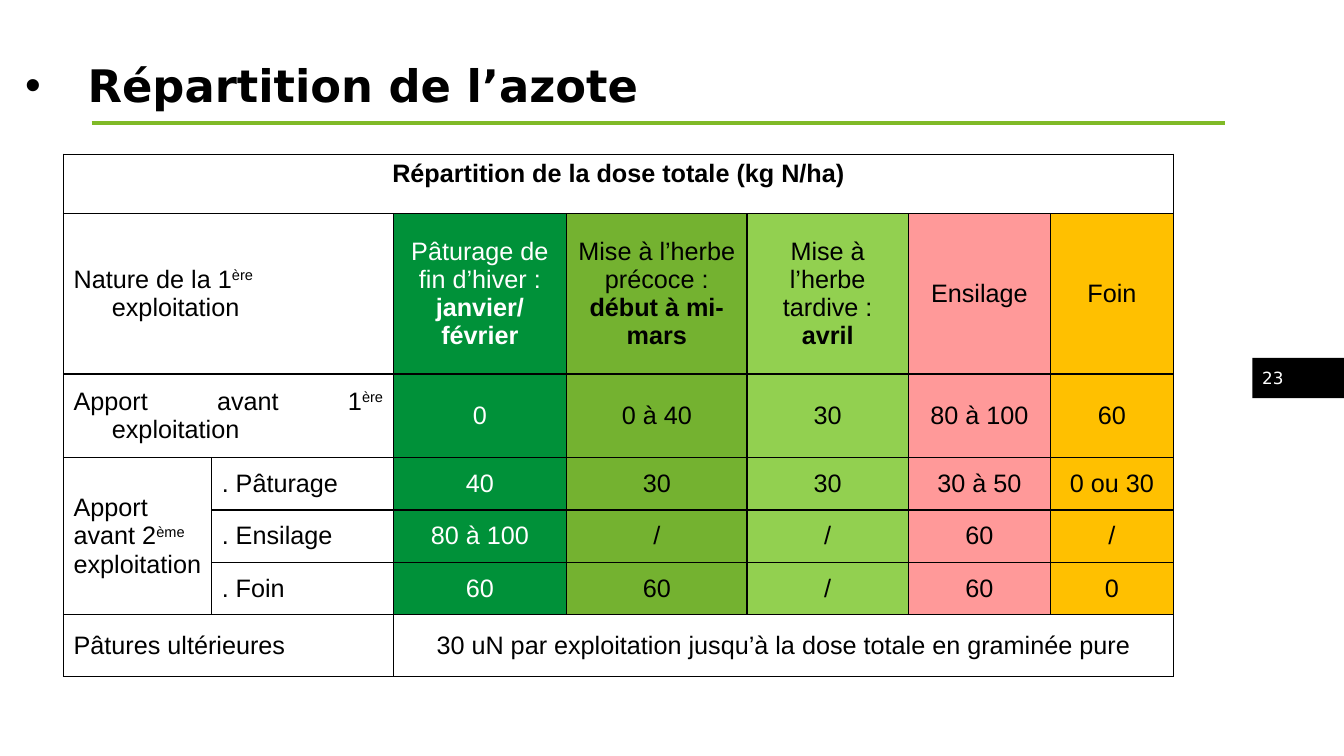
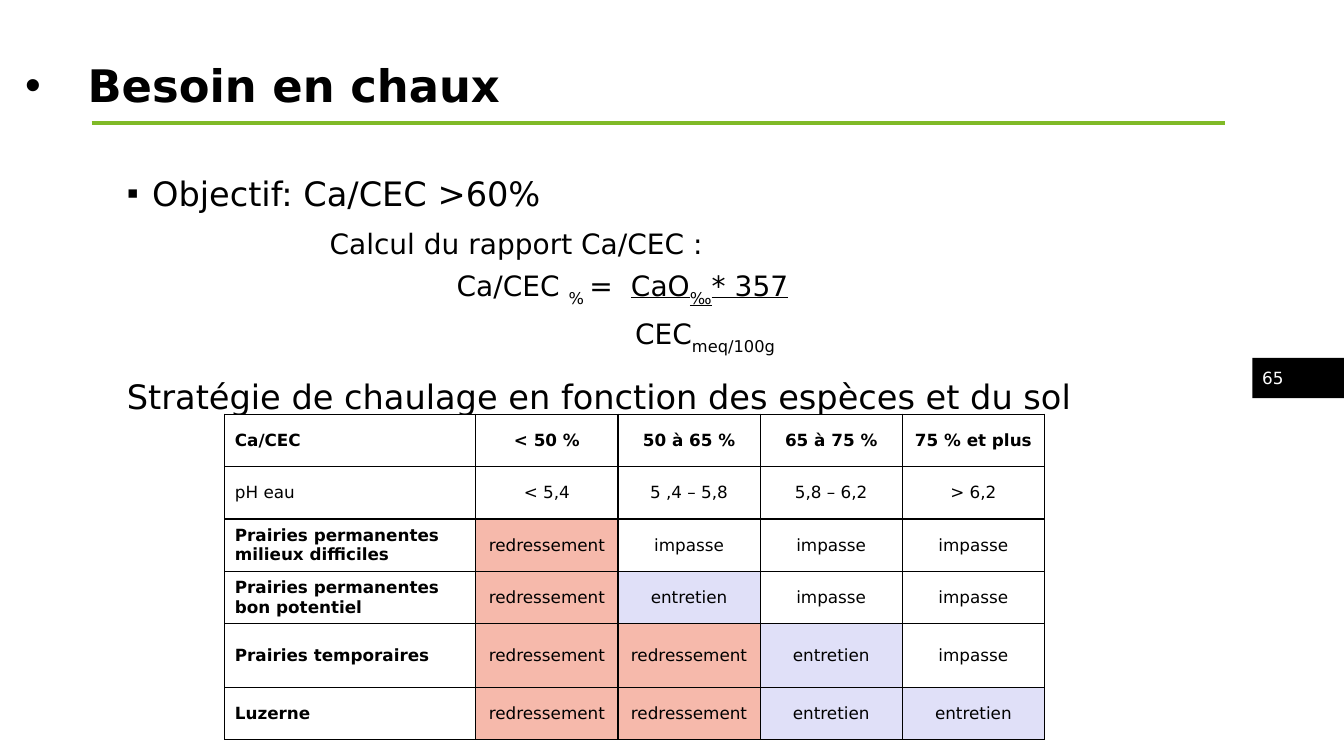
from lxml import etree
from pptx import Presentation
from pptx.dml.color import RGBColor
from pptx.enum import shapes, text
from pptx.oxml import ns
from pptx.util import Inches, Pt

COLORS = {
    "black": "000000", "white": "FFFFFF", "rule": "80BA27",
    "grazing": "009139", "early": "74B230", "late": "92D050",
    "silage": "FF9999", "hay": "FFC000",
    "redressement": "F6B9AB", "entretien": "E0E0F8",
}
SANS, ARIAL = "DejaVu Sans", "Arial"
LEFT, CENTER, JUSTIFY = (text.PP_ALIGN.LEFT, text.PP_ALIGN.CENTER,
                         text.PP_ALIGN.JUSTIFY)
MIDDLE, TOP = text.MSO_ANCHOR.MIDDLE, text.MSO_ANCHOR.TOP


def rgb(name):
    return RGBColor.from_string(COLORS[name])


def sub(parent, tag, **attributes):
    values = {key: str(value) for key, value in attributes.items()}
    return etree.SubElement(parent, ns.qn(tag), values)


def add_text(paragraph, content, size=18, font=SANS, color="black",
             bold=False, underline=False, baseline=0):
    """Add one formatted run; baseline is a percentage of the size."""
    run = paragraph.add_run()
    run.text = content
    run.font.size, run.font.name = Pt(size), font
    run.font.bold, run.font.underline = bold, underline
    run.font.color.rgb = rgb(color)
    if baseline:
        run.font._element.set("baseline", str(baseline * 1000))


def write(paragraph, runs, align=LEFT, hang=0, bullet=None, tabs=(),
          spacing=None, before=0, **style):
    """Fill a paragraph from a string or from (text, format) pairs."""
    properties = paragraph._p.get_or_add_pPr()
    if hang:
        properties.set("marL", str(Inches(hang)))
        properties.set("indent", str(-Inches(hang)))
    if bullet:
        sub(properties, "a:buFont", typeface=ARIAL)
        sub(properties, "a:buChar", char=bullet)
    if tabs:
        stops = sub(properties, "a:tabLst")
        for stop in tabs:
            sub(stops, "a:tab", pos=Inches(stop), algn="l")
    paragraph.alignment = align
    if spacing:
        paragraph.line_spacing = spacing
    if before:
        paragraph.space_before = Pt(before)
    for content, extra in [(runs, {})] if isinstance(runs, str) else runs:
        add_text(paragraph, content, **{**style, **extra})


class Deck:
    def __init__(self):
        self.presentation = Presentation()
        self.presentation.slide_width = Inches(13.33)
        self.presentation.slide_height = Inches(7.5)
        self.slide = None

    def start(self, title, number):
        """Open a slide with its title, green rule and page tag."""
        layout = self.presentation.slide_layouts[6]
        self.slide = self.presentation.slides.add_slide(layout)
        self.rule(0.91, 12.15, 1.22)
        heading = self.box(0.15, 0.4, 12.01, 0.94, MIDDLE)
        write(heading.paragraphs[0], title, hang=0.62, bullet="•",
              spacing=0.9, size=32, bold=True)
        self.page_tag(number)

    def rule(self, left, right, y):
        line = self.slide.shapes.add_connector(
            shapes.MSO_CONNECTOR.STRAIGHT,
            Inches(left), Inches(y), Inches(right), Inches(y))
        line.line.color.rgb, line.line.width = rgb("rule"), Pt(2.25)
        sub(line._element.spPr, "a:effectLst")

    def page_tag(self, number):
        tag = self.slide.shapes.add_shape(
            shapes.MSO_SHAPE.RECTANGLE,
            Inches(12.42), Inches(3.55), Inches(0.92), Inches(0.4))
        tag.shadow.inherit = False
        tag.fill.solid()
        tag.fill.fore_color.rgb = rgb("black")
        tag.line.fill.background()
        tag.text_frame.vertical_anchor = MIDDLE
        write(tag.text_frame.paragraphs[0], number, size=12, color="white")

    def box(self, left, top, width, height, anchor=TOP):
        frame = self.slide.shapes.add_textbox(
            Inches(left), Inches(top), Inches(width), Inches(height)).text_frame
        frame.word_wrap, frame.vertical_anchor = True, anchor
        return frame

    def table(self, left, top, widths, heights):
        table = self.slide.shapes.add_table(
            len(heights), len(widths), Inches(left), Inches(top),
            Inches(sum(widths)), Inches(sum(heights))).table
        table.first_row = table.horz_banding = False
        for column, width in zip(table.columns, widths):
            column.width = Inches(width)
        for row, height in zip(table.rows, heights):
            row.height = Inches(height)
        for cell in table.iter_cells():
            self.borders(cell)
            self.paint(cell, "white")
        return table

    def borders(self, cell):
        for side in ("a:lnL", "a:lnR", "a:lnT", "a:lnB"):
            line = sub(cell._tc.get_or_add_tcPr(), side, w=Pt(1))
            sub(sub(line, "a:solidFill"), "a:srgbClr", val=COLORS["black"])

    def paint(self, cell, fill):
        cell.fill.solid()
        cell.fill.fore_color.rgb = rgb(fill)

    def cell(self, cell, *paragraphs, fill="white", anchor=MIDDLE, **style):
        self.paint(cell, fill)
        cell.vertical_anchor = anchor
        frame = cell.text_frame
        for index, runs in enumerate(paragraphs):
            paragraph = frame.add_paragraph() if index else frame.paragraphs[0]
            write(paragraph, runs, **style)


def nitrogen_slide(deck):
    deck.start("Répartition de l’azote", "23")
    table = deck.table(0.63, 1.53, [1.47, 1.8, 1.72, 1.79, 1.6, 1.41, 1.22],
                       [0.59, 1.59, 0.83, 0.52, 0.52, 0.52, 0.61])
    for first, last in [((0, 0), (0, 6)), ((1, 0), (1, 1)), ((2, 0), (2, 1)),
                        ((3, 0), (5, 0)), ((6, 0), (6, 1)), ((6, 2), (6, 6))]:
        table.cell(*first).merge(table.cell(*last))

    # Heading and closing rows
    centered = {"align": CENTER, "font": ARIAL}
    deck.cell(table.cell(0, 0), "Répartition de la dose totale (kg N/ha)",
              anchor=TOP, bold=True, **centered)
    deck.cell(table.cell(6, 2), "30 uN par exploitation jusqu’à la dose totale"
              " en graminée pure", **centered)

    # Row labels
    raised, label = {"baseline": 30}, {"font": ARIAL, "hang": 0.38}
    deck.cell(table.cell(1, 0), [("Nature de la 1", {}), ("ère", raised),
                                 (" exploitation", {})], **label)
    deck.cell(table.cell(2, 0), [("Apport avant 1", {}), ("ère", raised),
                                 (" exploitation", {})], align=JUSTIFY, **label)
    deck.cell(table.cell(3, 0), "Apport", [("avant 2", {}), ("ème", raised)],
              "exploitation", **label)
    for row, use in enumerate([". Pâturage", ". Ensilage", ". Foin"], 3):
        deck.cell(table.cell(row, 1), use, align=JUSTIFY, **label)
    deck.cell(table.cell(6, 0), "Pâtures ultérieures", align=JUSTIFY, **label)

    # One coloured column per first use: heading, bold period, doses
    uses = [
        ("grazing", "Pâturage de fin d’hiver\u00a0:", "janvier/ février",
         ["0", "40", "80 à 100", "60"]),
        ("early", "Mise à l’herbe précoce\u00a0:", "début à mi-mars",
         ["0 à 40", "30", "/", "60"]),
        ("late", "Mise à l’herbe tardive\u00a0:", "avril",
         ["30", "30", "/", "/"]),
        ("silage", "Ensilage", None, ["80 à 100", "30 à 50", "60", "60"]),
        ("hay", "Foin", None, ["60", "0 ou 30", "/", "0"]),
    ]
    for column, (fill, heading, period, doses) in enumerate(uses, 2):
        style = {"fill": fill, **centered,
                 "color": "white" if fill == "grazing" else "black"}
        lines = [heading] + ([[(period, {"bold": True})]] if period else [])
        deck.cell(table.cell(1, column), *lines, **style)
        for row, dose in enumerate(doses, 2):
            deck.cell(table.cell(row, column), dose, **style)


def lime_slide(deck):
    deck.start("Besoin en chaux", "65")

    # Target, formula and strategy
    lowered, over = {"baseline": -30}, {"underline": True}
    lines = [
        ("Objectif: Ca/CEC >60%",
         {"size": 24, "align": JUSTIFY, "hang": 0.25, "bullet": "▪"}),
        ("\tCalcul du rapport Ca/CEC :", {"tabs": [2.01], "before": 6}),
        ([("\tCa/CEC ", {}), ("% ", lowered), ("=\t", {}), ("CaO", over),
          ("‰", {**lowered, **over}), ("* 357", over)],
         {"tabs": [3.27, 5], "before": 2}),
        ([("\tCEC", {}), ("meq/100g", lowered)], {"tabs": [5.04], "before": 2}),
        ("Stratégie de chaulage en fonction des espèces et du sol",
         {"size": 24, "before": 10}),
    ]
    body = deck.box(1.16, 1.61, 10.99, 5.31)
    for index, (runs, style) in enumerate(lines):
        paragraph = body.add_paragraph() if index else body.paragraphs[0]
        write(paragraph, runs, **{"size": 20, "spacing": 1.14, **style})

    # Liming strategy
    strategy = [
        ["Ca/CEC", "< 50 %", "50 à 65 %", "65 à 75 %", "75 % et plus"],
        ["pH eau", "< 5,4", "5\u00a0,4 – 5,8", "5,8 – 6,2", "> 6,2"],
        ["Prairies permanentes milieux difficiles",
         "redressement", "impasse", "impasse", "impasse"],
        ["Prairies permanentes bon potentiel",
         "redressement", "entretien", "impasse", "impasse"],
        ["Prairies temporaires",
         "redressement", "redressement", "entretien", "impasse"],
        ["Luzerne", "redressement", "redressement", "entretien", "entretien"],
    ]
    table = deck.table(2.23, 4.11, [2.49] + [1.41] * 4,
                       [0.52] * 4 + [0.63, 0.52])
    for row, entries in enumerate(strategy):
        for column, entry in enumerate(entries):
            deck.cell(table.cell(row, column), entry, size=12,
                      fill=entry if entry in COLORS else "white",
                      align=CENTER if column else LEFT,
                      bold=row == 0 or (column == 0 and row != 1))


def main():
    deck = Deck()
    nitrogen_slide(deck)
    lime_slide(deck)
    deck.presentation.save("out.pptx")


if __name__ == "__main__":
    main()
